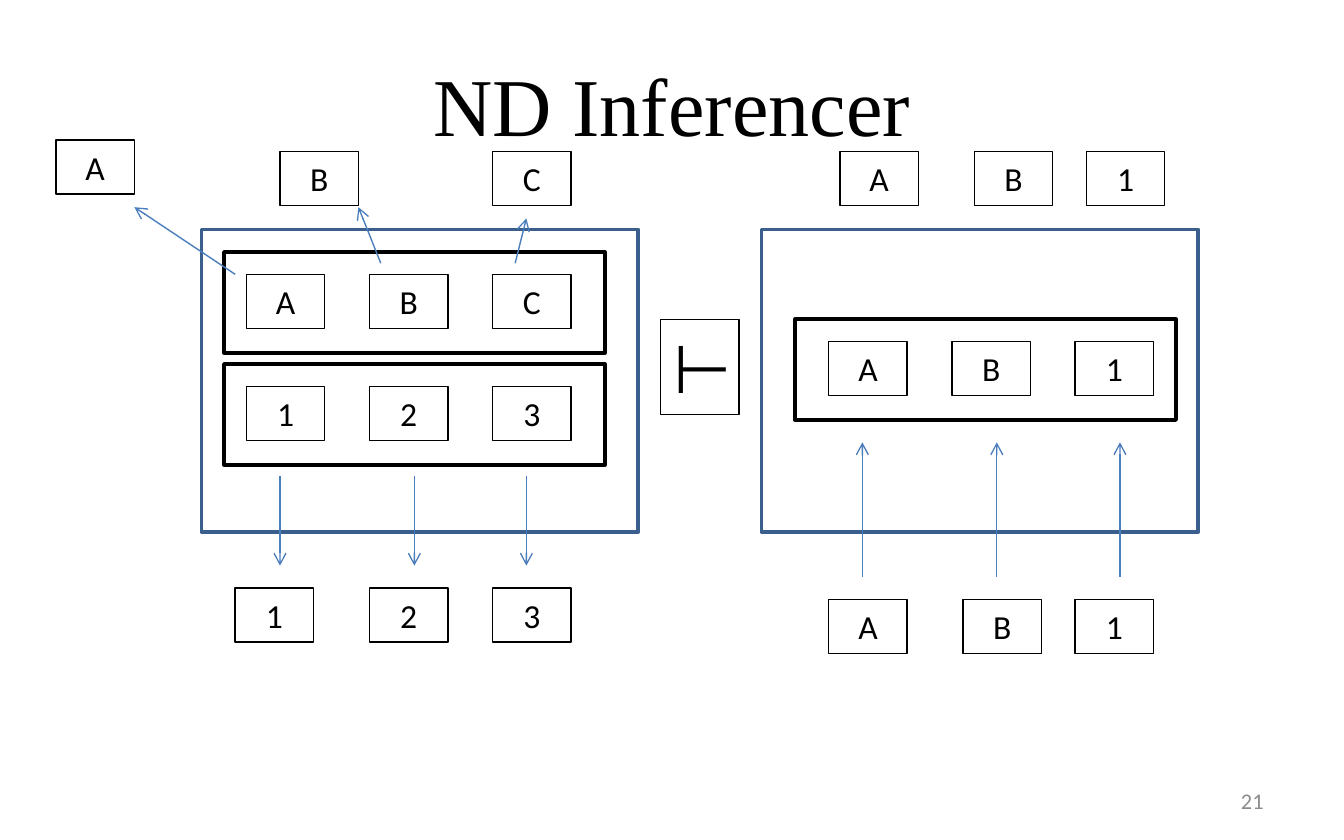
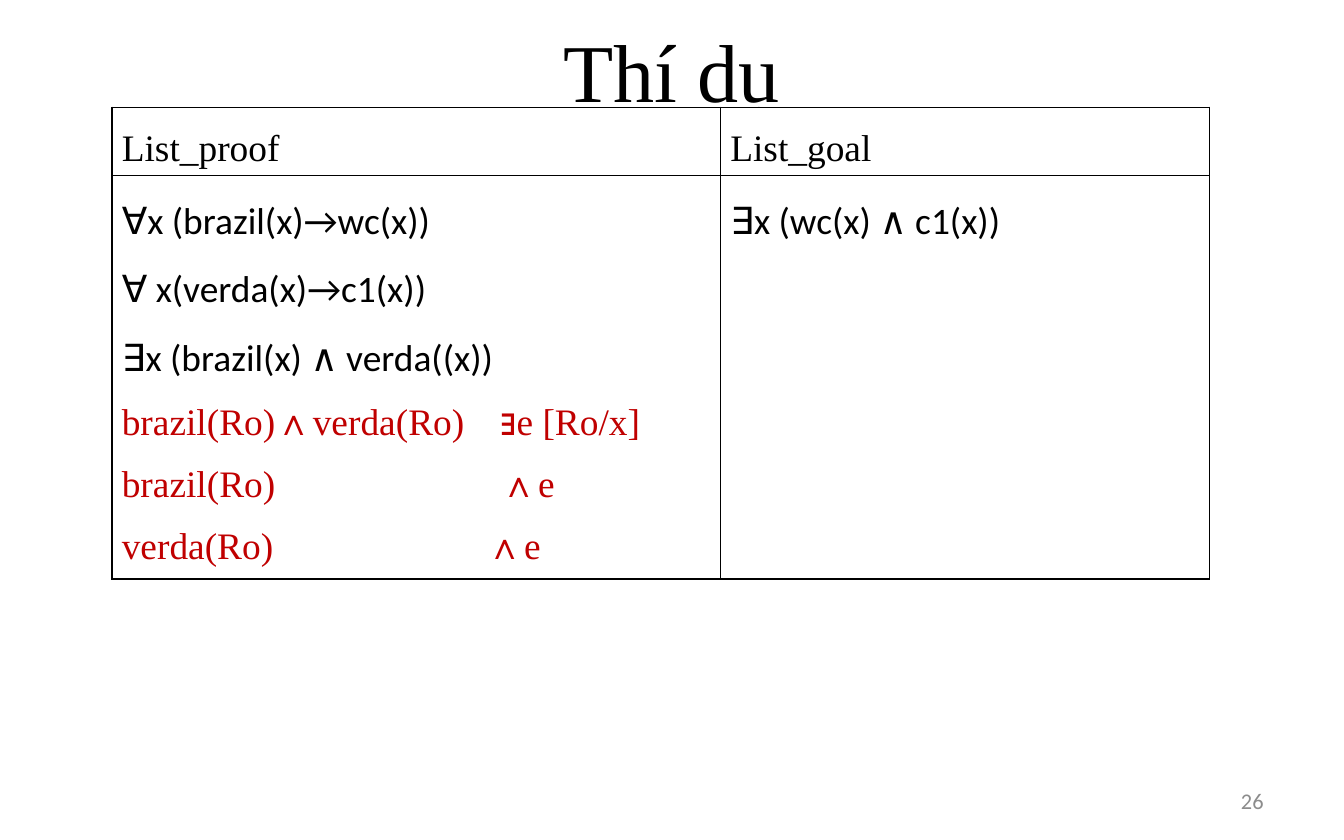
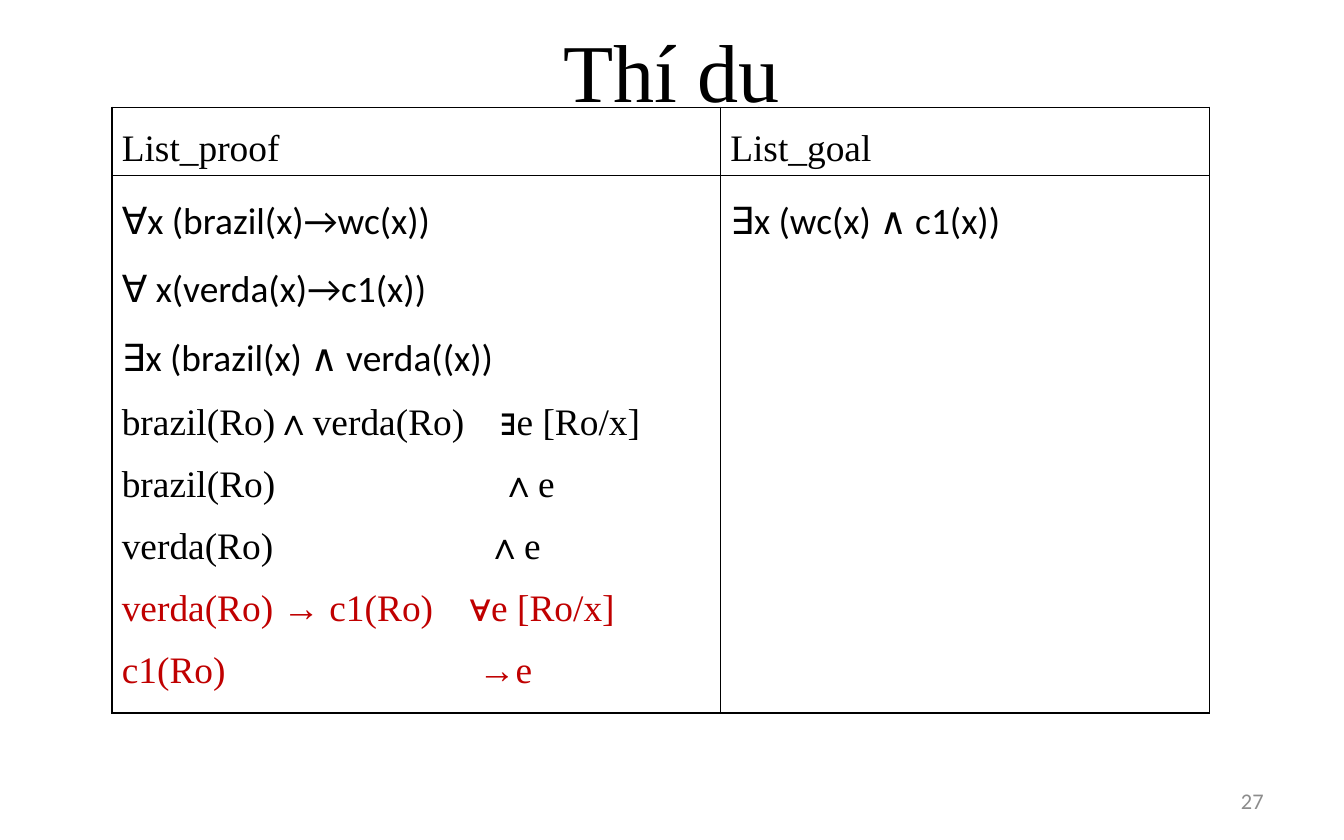
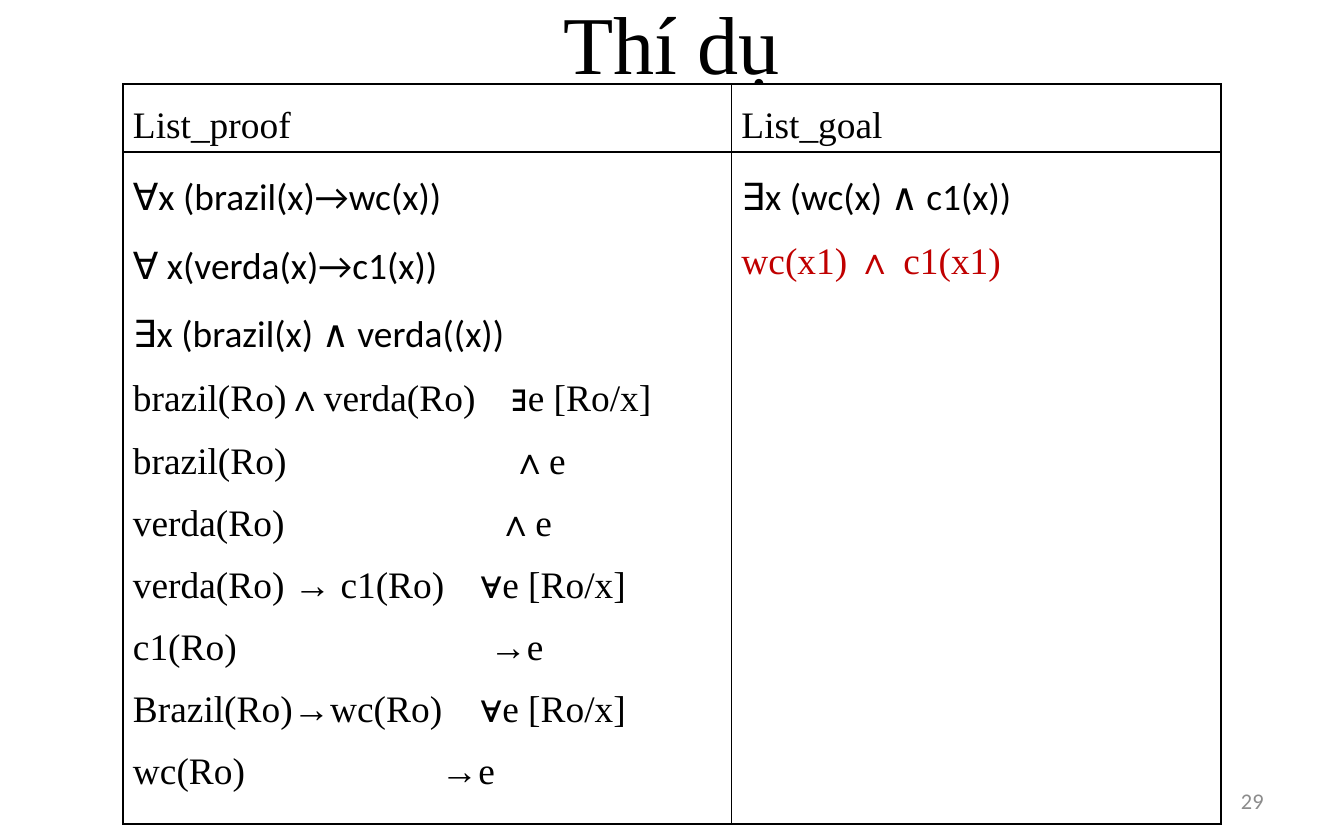
"""Build four slides: a natural deduction inferencer diagram and three proof steps."""
from lxml import etree
from pptx import Presentation, util as u
from pptx.dml import color
from pptx.enum import shapes, text
from pptx.oxml import ns

Pt = u.Pt
COLORS = {"black": "000000", "white": "FFFFFF", "panel": "3A5F8C",
          "arrow": "4B7EBC", "new": "C00000", "number": "8C8C8C"}
RGB = {name: color.RGBColor.from_string(value) for name, value in COLORS.items()}
SERIF, SANS = "Times New Roman", "Calibri"
CENTER, RIGHT, JUSTIFY = (text.PP_ALIGN.CENTER, text.PP_ALIGN.RIGHT, text.PP_ALIGN.JUSTIFY)
MIDDLE = text.MSO_ANCHOR.MIDDLE


def write(p, words, size, face, ink="black", **paragraph_format):
    r = p.add_run()
    r.text = words
    for name, value in {"size": Pt(size), "name": face}.items():
        setattr(r.font, name, value)
    r.font.color.rgb = RGB[ink]
    for name, value in paragraph_format.items():
        setattr(p, name, value)


def add_box(s, x, y, w, h, line="black", width=0.75, label="", size=18):
    sp = s.shapes.add_shape(shapes.MSO_SHAPE.RECTANGLE, Pt(x), Pt(y), Pt(w), Pt(h))
    sp.shadow.inherit = False
    sp.fill.background()
    sp.line.color.rgb = RGB[line]
    sp.line.width = Pt(width)
    if label:
        tf = sp.text_frame
        for name, value in {"word_wrap": True, "vertical_anchor": text.MSO_ANCHOR.TOP,
                            "auto_size": text.MSO_AUTO_SIZE.SHAPE_TO_FIT_TEXT}.items():
            setattr(tf, name, value)
        write(tf.paragraphs[0], label, size, SANS, alignment=CENTER)


prs = Presentation()
prs.slide_width, prs.slide_height = Pt(720), Pt(450)

slides = []
for title, title_y, number in [("ND Inferencer", 18, "21"), ("Thí dụ", 0, "26"),
                               ("Thí dụ", 0, "27"), ("Thí dụ", -15, "29")]:
    s = prs.slides.add_slide(prs.slide_layouts[6])
    slides.append(s)
    for words, x, y, w, h, size, face, ink, align in [
            (title, 36, title_y, 648, 75, 44, SERIF, "black", CENTER),
            (number, 516, 417, 168, 24, 12, SANS, "number", RIGHT)]:
        tf = s.shapes.add_textbox(Pt(x), Pt(y), Pt(w), Pt(h)).text_frame
        tf.word_wrap = True
        tf.vertical_anchor = MIDDLE
        write(tf.paragraphs[0], words, size, face, ink, alignment=align)

s = slides[0]
for x in (108, 408):
    add_box(s, x, 123, 234, 162, "panel", 2)
for x, y in [(120, 135), (120, 195), (426, 171)]:
    add_box(s, x, y, 204, 54, width=2)
add_box(s, 354, 171, 42, 51, label="⊢", size=36)

label_rows = [("ABC", (132, 198, 264), (147, 147, 147)),
              ("123", (132, 198, 264), (207, 207, 207)),
              ("ABC", (30, 150, 264), (75, 81, 81)),
              ("123", (126, 198, 264), (315, 315, 315)),
              ("AB1", (444, 510, 576), (183, 183, 183)),
              ("AB1", (444, 516, 576), (321, 321, 321)),
              ("AB1", (450, 522, 582), (81, 81, 81))]
for labels, xs, ys in label_rows:
    for label, x, y in zip(labels, xs, ys):
        add_box(s, x, y, 42, 29, label=label)

arrows = [(126, 147, 72, 111), (204, 141, 192, 111), (276, 141, 282, 117)]
arrows += [(x, 255, x, 303) for x in (150, 222, 282)]
arrows += [(x, 309, x, 237) for x in (462, 534, 600)]
for ends in arrows:
    cx = s.shapes.add_connector(shapes.MSO_CONNECTOR.STRAIGHT, *map(Pt, ends))
    cx.line.color.rgb = RGB["arrow"]
    cx.line.width = Pt(0.75)
    etree.SubElement(cx.line._get_or_add_ln(), ns.qn("a:tailEnd"), type="arrow")
    etree.SubElement(cx._element.spPr, ns.qn("a:effectLst"))

premises = ["∀x (brazil(x)→wc(x))", "∀ x(verda(x)→c1(x))", "∃x (brazil(x) ∧ verda((x))"]
steps = [("brazil(Ro)∧verda(Ro)", "∃e [Ro/x]", 203),
         ("brazil(Ro)", "∧e", 203),
         ("verda(Ro)", "∧e", 195.5),
         ("verda(Ro) → c1(Ro)", "∀e [Ro/x]", 186),
         ("c1(Ro)", "→e", 191),
         ("Brazil(Ro)→wc(Ro)", "∀e [Ro/x]", 186),
         ("wc(Ro)", "→e", 165)]
goal = ("∃x (wc(x) ∧ c1(x))", SANS, "black", None)
new_goal = ("wc(x1) ∧ c1(x1)", SERIF, "new", None)

for s, x, y, step_count, old_count, goals in [
        (slides[1], 60, 57.6, 3, 0, [goal]),
        (slides[2], 60, 57.6, 5, 3, [goal]),
        (slides[3], 66, 45, 7, 7, [goal, new_goal])]:
    proof = [(words, SANS, "black", None) for words in premises]
    for i, (formula, rule, tab) in enumerate(steps[:step_count]):
        proof.append((f"{formula}\t{rule}", SERIF, "black" if i < old_count else "new", tab))
    table = s.shapes.add_table(2, 2, Pt(x), Pt(y), Pt(588), Pt(78.5)).table
    table.first_row = table.horz_banding = False
    for column, width in zip(table.columns, (326, 262)):
        column.width = Pt(width)
    for row, row_height in zip(table.rows, (36.5, 42)):
        row.height = Pt(row_height)

    headings = [[(words, SERIF, "black", None)] for words in ("List_proof", "List_goal")]
    for cell, lines in zip(table.iter_cells(), headings + [proof, goals]):
        for name, value in {"margin_left": Pt(5.25), "margin_right": Pt(5.25),
                            "margin_top": 0, "margin_bottom": 0}.items():
            setattr(cell, name, value)
        cell.fill.solid()
        cell.fill.fore_color.rgb = RGB["white"]
        tcPr = cell._tc.get_or_add_tcPr()
        for i, side in enumerate(("lnL", "lnR", "lnT", "lnB")):
            ln = etree.Element(ns.qn(f"a:{side}"), w=str(Pt(1)))
            fill = etree.SubElement(ln, ns.qn("a:solidFill"))
            etree.SubElement(fill, ns.qn("a:srgbClr"), val=COLORS["black"])
            tcPr.insert(i, ln)
        tf = cell.text_frame
        for i, (words, face, ink, tab) in enumerate(lines):
            p = tf.add_paragraph() if i else tf.paragraphs[0]
            write(p, words, 20, face, ink, alignment=JUSTIFY, line_spacing=1.5)
            if tab:
                tabs = etree.SubElement(p._p.get_or_add_pPr(), ns.qn("a:tabLst"))
                etree.SubElement(tabs, ns.qn("a:tab"), pos=str(Pt(tab)), algn="l")

prs.save("out.pptx")
